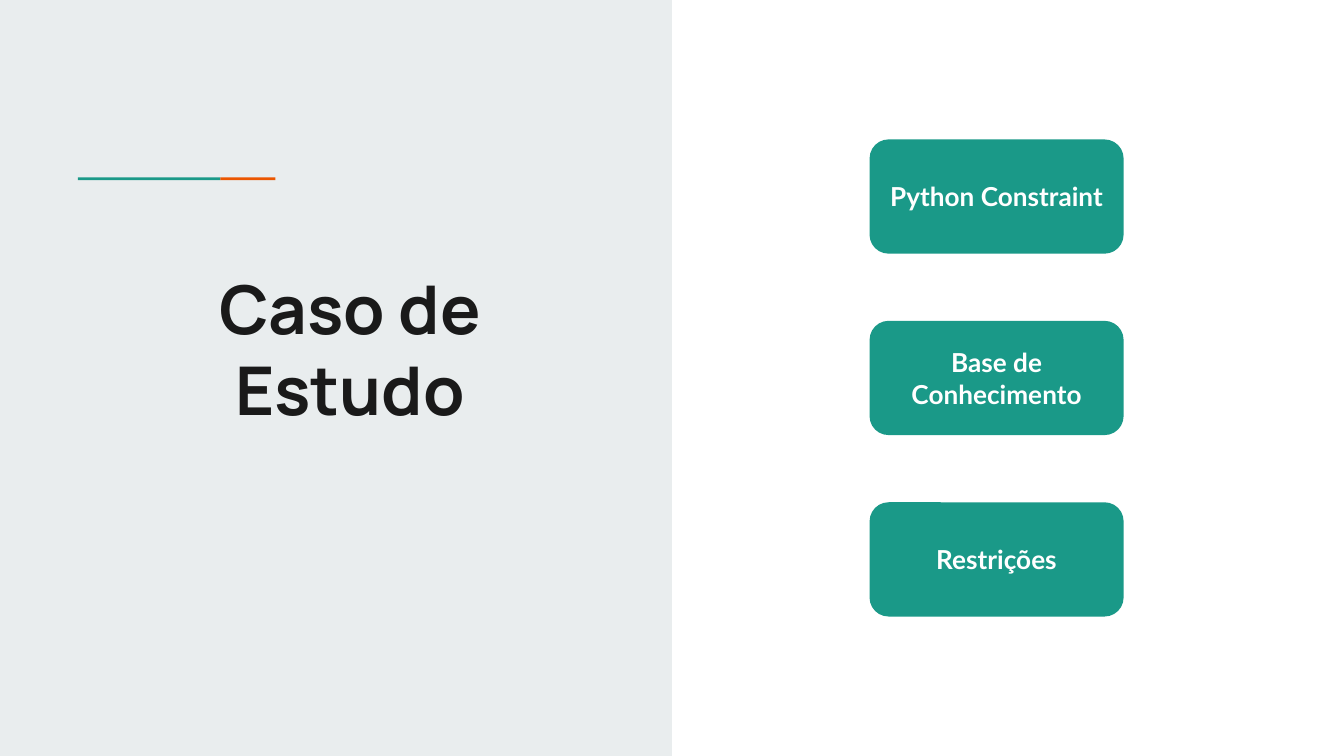
from pptx import Presentation, util as u
from pptx.dml.color import RGBColor
from pptx.enum import shapes, text

W = 10
H = W * 9 / 16
COLORS = {"panel": "E9EDEE", "teal": "1A9988", "orange": "EB5600",
          "ink": "1A1A1A", "white": "FFFFFF"}
TOPICS = ["Python Constraint", "Base de Conhecimento", "Restrições"]


def add_block(s, kind, x, y, w, h, color):
    """Filled shape without outline or shadow."""
    sp = s.shapes.add_shape(kind, *map(u.Inches, (x, y, w, h)))
    sp.shadow.inherit = False
    sp.fill.solid()
    sp.fill.fore_color.rgb = RGBColor.from_string(COLORS[color])
    sp.line.fill.background()
    return sp


def set_text(sp, words, font, size, color, anchor):
    """Bold centred text with even insets."""
    tf = sp.text_frame
    tf.word_wrap = True
    tf.vertical_anchor = anchor
    tf.margin_left = tf.margin_right = u.Inches(0.1)
    tf.margin_top = tf.margin_bottom = u.Inches(0.1)
    tf.text = words
    p = tf.paragraphs[0]
    p.alignment = text.PP_ALIGN.CENTER
    f = p.runs[0].font
    f.name, f.size, f.bold = font, u.Pt(size), True
    f.color.rgb = RGBColor.from_string(COLORS[color])


def add_title(s, words):
    sp = s.shapes.add_textbox(*map(u.Inches, (0.8, 1.44, 3.61, 1.85)))
    set_text(sp, words, "Manrope", 36, "ink", text.MSO_ANCHOR.BOTTOM)


def add_topic(s, row, words):
    height, gap = 0.85, 0.5
    middle = H / 2 + (row - 1) * (height + gap)
    sp = add_block(s, shapes.MSO_SHAPE.ROUNDED_RECTANGLE,
                   6.47, middle - height / 2, 1.89, height, "teal")
    set_text(sp, words, "Lato", 14, "white", text.MSO_ANCHOR.MIDDLE)


def main():
    prs = Presentation()
    prs.slide_width, prs.slide_height = u.Inches(W), u.Inches(H)
    s = prs.slides.add_slide(prs.slide_layouts[6])
    rect = shapes.MSO_SHAPE.RECTANGLE

    # Left panel with two-colour accent rule
    add_block(s, rect, 0, 0, W / 2, H, "panel")
    add_block(s, rect, 0.58, 1.32, 1.06, 0.02, "teal")
    add_block(s, rect, 1.64, 1.32, 0.41, 0.02, "orange")
    add_title(s, "Caso de Estudo")

    # Topic boxes, evenly stacked around the slide's middle
    for row, words in enumerate(TOPICS):
        add_topic(s, row, words)

    prs.save("out.pptx")


if __name__ == "__main__":
    main()
